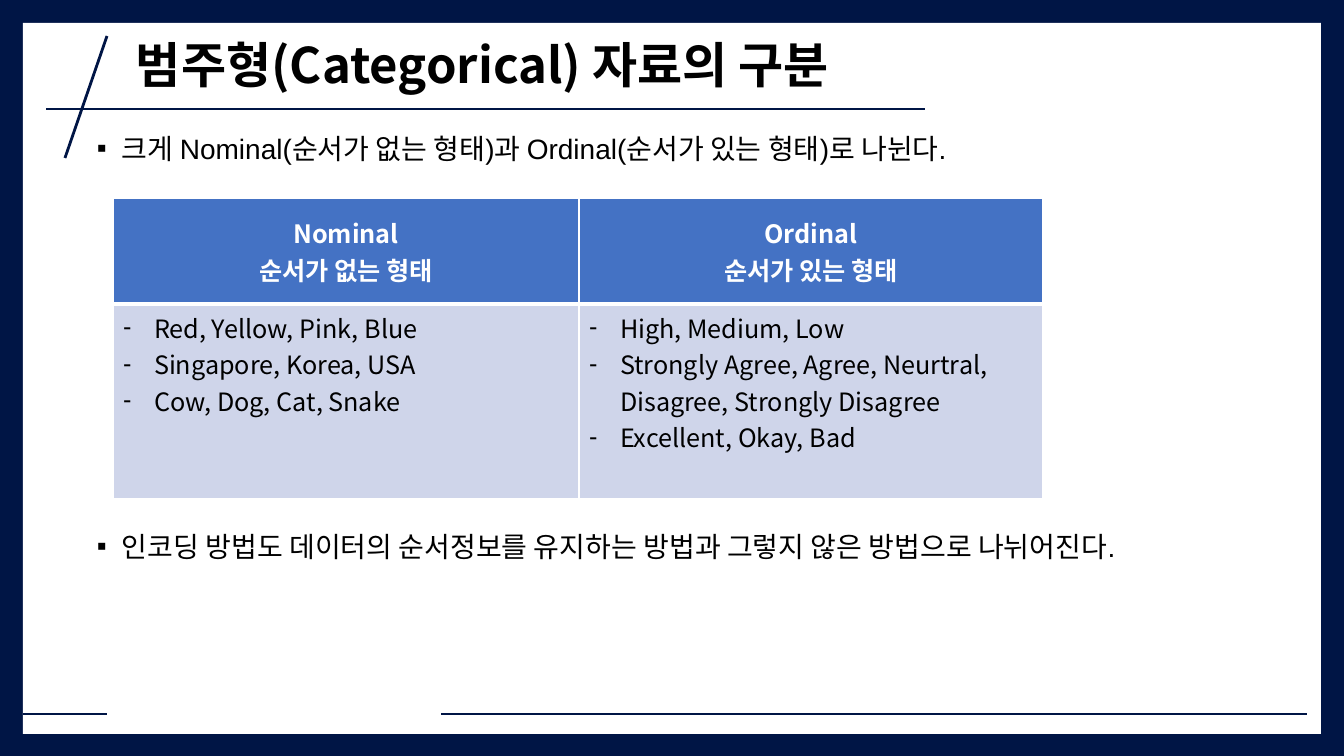
from lxml.etree import SubElement as Sub
from pptx import Presentation
from pptx.dml.color import RGBColor
from pptx.enum.shapes import MSO_CONNECTOR as Conn, MSO_SHAPE as Shape
from pptx.enum.text import MSO_ANCHOR as Anchor, PP_ALIGN as Align
from pptx.oxml.ns import qn
from pptx.util import Pt

NAVY, BLUE, PALE, WHITE, BLACK = "001545", "4472C4", "CFD5EA", "FFFFFF", "000000"
SANS = "Noto Sans CJK KR"


def px(n):
    return round(n * 914400 / 100.8)


def color(code):
    return RGBColor.from_string(code)


class Page:
    """Draws styled elements on one slide."""

    def __init__(self, deck):
        self.slide = deck.slides.add_slide(deck.slide_layouts[6])
        self.shapes = self.slide.shapes
        self.paint(self.slide.background.fill, NAVY)

    def paint(self, fill, code):
        fill.solid()
        fill.fore_color.rgb = color(code)

    def panel(self, x, y, w, h):
        box = self.shapes.add_shape(Shape.RECTANGLE, px(x), px(y), px(w), px(h))
        box.shadow.inherit = False
        self.paint(box.fill, WHITE)
        box.line.fill.background()

    def line(self, x1, y1, x2, y2):
        rule = self.shapes.add_connector(Conn.STRAIGHT, px(x1), px(y1), px(x2), px(y2))
        rule.line.width = Pt(2)
        rule.line.color.rgb = color(NAVY)
        Sub(rule._element.spPr, qn("a:effectLst"))

    def typeset(self, frame, lines, size, face=SANS, ink=BLACK, bold=False,
                align=Align.LEFT, space=1.0, mark=None, dent=0):
        frame.word_wrap = True
        for i, line in enumerate(lines):
            para = frame.paragraphs[0] if i == 0 else frame.add_paragraph()
            para.text = line
            para.alignment = align
            para.line_spacing = space
            if mark:
                self.bullet(para, mark, dent)
            font = para.font
            font.size, font.bold, font.name = Pt(size), bold, face
            font.color.rgb = color(ink)
            Sub(font._element, qn("a:ea"), typeface=SANS)

    def bullet(self, para, mark, dent):
        props = para._p.get_or_add_pPr()
        props.set("marL", str(px(dent)))
        props.set("indent", str(-px(dent)))
        Sub(props, qn("a:buFont"), typeface="Arial")
        Sub(props, qn("a:buChar"), char=mark)

    def text(self, x, y, w, h, line, size, anchor=Anchor.TOP, **style):
        frame = self.shapes.add_textbox(px(x), px(y), px(w), px(h)).text_frame
        frame.vertical_anchor = anchor
        self.typeset(frame, [line], size, space=0.9, **style)

    def border(self, cell, base):
        props = cell._tc.get_or_add_tcPr()
        for side, width in zip("LRTB", (1, 1, 1, base)):
            edge = Sub(props, qn(f"a:ln{side}"), w=str(Pt(width)))
            Sub(Sub(edge, qn("a:solidFill")), qn("a:srgbClr"), val=WHITE)

    def table(self, x, y, cols, rows, data):
        grid = self.shapes.add_table(len(rows), len(cols), px(x), px(y),
                                     px(sum(cols)), px(sum(rows))).table
        for col, width in zip(grid.columns, cols):
            col.width = px(width)
        for r, (height, row) in enumerate(zip(rows, data)):
            grid.rows[r].height = px(height)
            for c, lines in enumerate(row):
                cell = grid.cell(r, c)
                self.border(cell, 1 if r else 3)
                self.paint(cell.fill, PALE if r else BLUE)
                if r:
                    self.typeset(cell.text_frame, lines, 18, mark="-", dent=31)
                else:
                    cell.vertical_anchor = Anchor.MIDDLE
                    self.typeset(cell.text_frame, lines, 18, ink=WHITE, bold=True,
                                 align=Align.CENTER)


def main():
    deck = Presentation()
    deck.slide_width, deck.slide_height = px(1344), px(756)
    page = Page(deck)
    page.panel(23, 23, 1298, 711)
    for ends in ((925, 109, 46, 109), (65, 158, 107, 36),
                 (1307, 714, 441, 714), (107, 714, 23, 714)):
        page.line(*ends)
    page.text(126, 33, 1159, 70, "범주형(Categorical) 자료의 구분", 35,
              anchor=Anchor.MIDDLE, bold=True)
    points = (
        (130, "크게 Nominal(순서가 없는 형태)과 Ordinal(순서가 있는 형태)로 나뉜다."),
        (528, "인코딩 방법도 데이터의 순서정보를 유지하는 방법과 그렇지 않은 방법으로 나뉘어진다."),
    )
    for top, line in points:
        page.text(87, top, 1159, 40, line, 20, face="Arial", mark="▪", dent=25)
    page.table(113, 198, (466, 464), (106, 195), (
        (("Nominal", "순서가 없는 형태"), ("Ordinal", "순서가 있는 형태")),
        (("Red, Yellow, Pink, Blue", "Singapore, Korea, USA", "Cow, Dog, Cat, Snake"),
         ("High, Medium, Low",
          "Strongly Agree, Agree, Neurtral, Disagree, Strongly Disagree",
          "Excellent, Okay, Bad")),
    ))
    deck.save("out.pptx")


if __name__ == "__main__":
    main()
